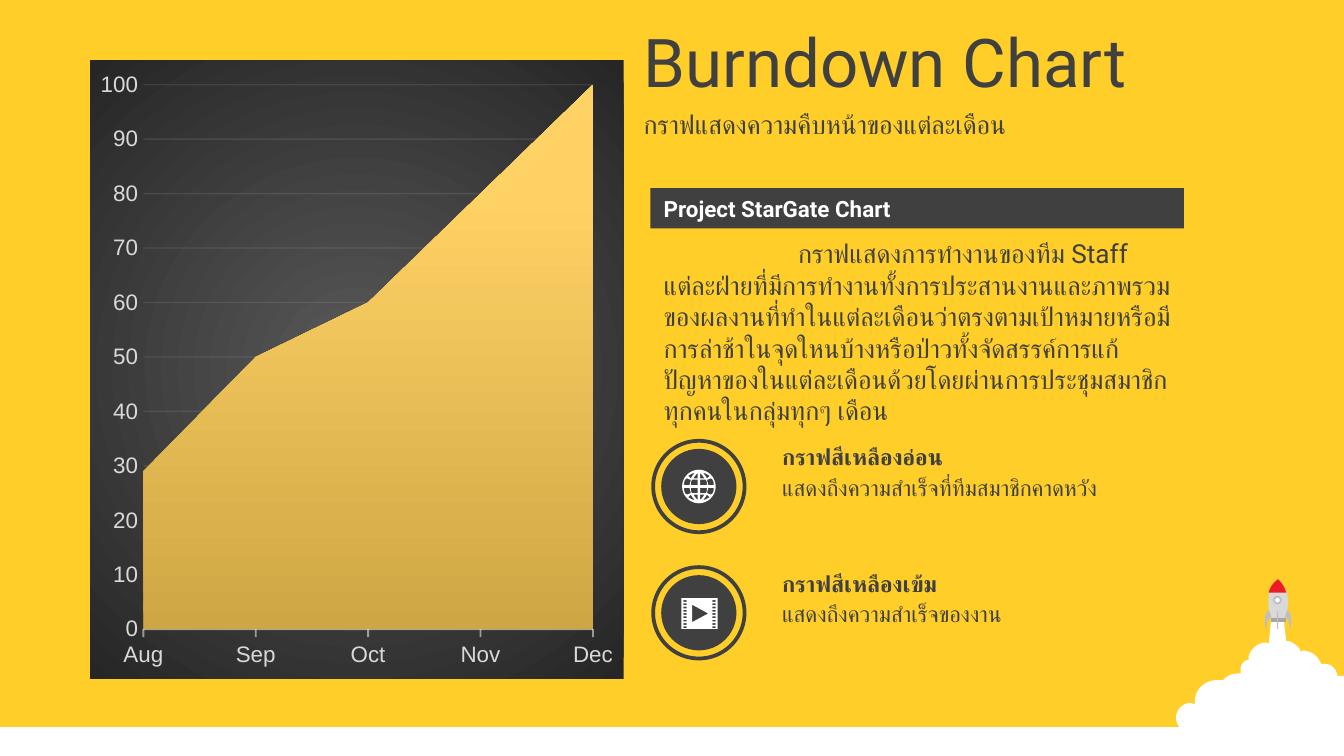
from lxml import etree
from pptx import Presentation
from pptx.chart.data import CategoryChartData as Data
from pptx.dml.color import RGBColor as RGB
from pptx.enum.chart import XL_CHART_TYPE as Chart, XL_TICK_MARK as Tick
from pptx.enum.shapes import MSO_SHAPE as Kind
from pptx.enum.text import MSO_ANCHOR as Anchor
from pptx.oxml import parse_xml
from pptx.oxml.ns import nsdecls, qn
from pptx.util import Inches, Pt

YELLOW = RGB(0xFF, 0xCE, 0x29)
DARK = RGB(0x40, 0x40, 0x40)
WHITE = RGB(0xFF, 0xFF, 0xFF)
PALE = RGB(0xD9, 0xD9, 0xD9)
GREY = RGB(0xBF, 0xBF, 0xBF)
STEEL = RGB(0xA6, 0xA6, 0xA6)
RED = RGB(0xED, 0x1C, 0x24)
FAINT = RGB(0xF2, 0xF2, 0xF2)

# Outline points: (x, y) is a corner, six numbers are a curve
CLOUD = [
    (9.46, 4.59), (9.55, 4.59), (9.57, 4.77), (9.59, 4.77),
    (9.62, 4.78, 9.65, 4.8, 9.67, 4.83), (9.68, 4.85), (9.69, 4.84),
    (9.75, 4.84, 9.81, 4.88, 9.83, 4.94), (9.86, 4.94),
    (9.9, 4.94, 9.94, 4.97, 9.95, 5.02), (9.95, 5.03), (10, 5.03),
    (10, 5.61), (9.34, 5.61),
    (9.23, 5.61, 9.17, 5.56, 9.13, 5.51), (9.11, 5.53, 9.07, 5.54, 9.04, 5.53),
    (9, 5.52, 8.94, 5.5, 8.93, 5.45), (8.93, 5.43), (8.92, 5.44),
    (8.91, 5.45, 8.89, 5.45, 8.86, 5.45), (8.8, 5.45, 8.75, 5.4, 8.75, 5.34),
    (8.75, 5.28, 8.8, 5.23, 8.86, 5.23), (8.89, 5.24), (8.89, 5.22),
    (8.89, 5.13, 8.96, 5.06, 9.06, 5.06), (9.1, 5.06), (9.11, 5.05),
    (9.14, 5.02, 9.18, 5.01, 9.23, 5.01), (9.23, 4.98),
    (9.23, 4.95, 9.25, 4.92, 9.28, 4.91), (9.29, 4.91), (9.29, 4.89),
    (9.3, 4.83, 9.36, 4.78, 9.42, 4.78), (9.44, 4.79)]
BODY = [(9.46, 4.62), (9.44, 4.53, 9.4, 4.4, 9.51, 4.31),
        (9.62, 4.41, 9.58, 4.54, 9.56, 4.62)]
NOSE = [(9.51, 4.31), (9.54, 4.34, 9.56, 4.37, 9.57, 4.41), (9.44, 4.41),
        (9.45, 4.37, 9.47, 4.34, 9.51, 4.31)]
FIN = [(9.44, 4.54), (9.46, 4.59), (9.42, 4.61, 9.43, 4.66, 9.42, 4.68),
       (9.41, 4.65, 9.4, 4.57, 9.44, 4.54)]

# Gaps in one quarter of the globe, measured from its centre
CELLS = [
    [(.01, .01), (.06, .01), (.06, .03, .06, .04, .05, .05), (.04, .05, .02, .05, .01, .05)],
    [(.07, .01), (.11, .01), (.11, .03, .11, .05, .09, .06), (.08, .06, .07, .05, .06, .05)],
    [(.01, .06), (.02, .06, .03, .06, .04, .06), (.03, .08, .02, .09, .01, .1)],
    [(.06, .06), (.07, .07, .07, .07, .08, .08), (.06, .09, .05, .1, .03, .1),
     (.04, .09, .05, .08, .06, .06)]]


def flat(path, steps=8):
    """Turn corners and curves into plain points."""
    out = []
    for node in path:
        if len(node) == 2:
            out.append(node)
            continue
        a, b, c, d = out[-1], node[:2], node[2:4], node[4:]
        for i in range(1, steps + 1):
            t = i / steps
            u = 1 - t
            out.append(tuple(u**3 * a[k] + 3*u*u*t * b[k] + 3*u*t*t * c[k] + t**3 * d[k]
                             for k in (0, 1)))
    return out


def flip(path, sx=1, sy=1, x=0, y=0):
    """Mirror a path by sign and move it."""
    return [tuple(v * (sx, sy)[i % 2] + (x, y)[i % 2] for i, v in enumerate(n))
            for n in path]


def box(x, y, w, h):
    return [(x, y), (x + w, y), (x + w, y + h), (x, y + h)]


def paint(shape, fill, line=None, width=1):
    shape.shadow.inherit = False
    shape.fill.solid()
    shape.fill.fore_color.rgb = fill
    if line is None:
        shape.line.fill.background()
    else:
        shape.line.color.rgb = line
        shape.line.width = Pt(width)
    return shape


def form(slide, paths, fill):
    pen = None
    for path in paths:
        pts = [(Inches(x), Inches(y)) for x, y in flat(path)]
        if pen is None:
            pen = slide.shapes.build_freeform(*pts[0], scale=1.0)
        else:
            pen.move_to(*pts[0])
        pen.add_line_segments(pts[1:], close=True)
    return paint(pen.convert_to_shape(), fill)


def shape(slide, kind, x, y, w, h, fill, line=None, width=1):
    item = slide.shapes.add_shape(kind, Inches(x), Inches(y), Inches(w), Inches(h))
    return paint(item, fill, line, width)


def text(slide, words, x, y, w, h, size=12, color=DARK, bold=False,
         font="Roboto", anchor=Anchor.TOP):
    item = slide.shapes.add_textbox(Inches(x), Inches(y), Inches(w), Inches(h))
    frame = item.text_frame
    frame.word_wrap = True
    frame.vertical_anchor = anchor
    para = frame.paragraphs[0]
    para._p.get_or_add_pPr().set("defTabSz", str(Inches(1)))
    run = para.add_run()
    run.text = words
    run.font.size, run.font.bold, run.font.name = Pt(size), bold, font
    run.font.color.rgb = color
    etree.SubElement(run.font._element, qn("a:cs")).set("typeface", font)
    return item


def blend(stops, way):
    """Gradient fill; way is the XML that gives its direction."""
    marks = "".join(f'<a:gs pos="{pos * 1000}"><a:srgbClr val="{c}"/></a:gs>'
                    for pos, c in stops)
    return parse_xml(f'<a:gradFill {nsdecls("a")} rotWithShape="1">'
                     f'<a:gsLst>{marks}</a:gsLst>{way}</a:gradFill>')


def stroke(line, width, alpha):
    line.color.rgb = FAINT
    line.width = Pt(width)
    tone = line._ln.find(".//" + qn("a:srgbClr"))
    etree.SubElement(tone, qn("a:alpha")).set("val", str(alpha * 1000))


def graph(slide):
    data = Data()
    data.categories = ["Aug", "Sep", "Oct", "Nov", "Dec"]
    data.add_series("Series 1", (29, 50, 60, 80, 100))
    data.add_series("Series 2", (5, 20, 52, 65, 95))
    chart = slide.shapes.add_chart(Chart.AREA, Inches(.67), Inches(.45),
                                   Inches(3.97), Inches(4.6), data).chart
    chart.has_legend = chart.has_title = False
    chart.font.name, chart.font.size = "Arial", Pt(12)
    chart.font.color.rgb = PALE

    # Series and background gradients
    tones = [("CEA644", "FFD265", "FFD367"), ("A98405", "DCAB07", "E1AE03")]
    for row, tone in zip(chart.plots[0].series, tones):
        row.format.line.fill.background()
        row.format._element.get_or_add_spPr().insert(
            0, blend(zip((0, 80, 100), tone), '<a:lin ang="16200000" scaled="0"/>'))
    back = parse_xml(f'<c:spPr {nsdecls("c", "a")}><a:ln><a:noFill/></a:ln></c:spPr>')
    back.insert(0, blend([(0, "595959"), (100, "262626")],
                         '<a:path path="circle"><a:fillToRect l="50000" t="50000" '
                         'r="50000" b="50000"/></a:path>'))
    chart._chartSpace.chart.addnext(back)

    # Axes
    cat, val = chart.category_axis, chart.value_axis
    cat.major_tick_mark, val.major_tick_mark = Tick.OUTSIDE, Tick.NONE
    cat.has_major_gridlines = False
    stroke(cat.format.line, 1, 54)
    val.format.line.fill.background()
    val.maximum_scale = 100
    val.has_major_gridlines = True
    stroke(val.major_gridlines.format.line, .75, 10)
    for axis in (cat, val):
        axis.tick_labels.font.name, axis.tick_labels.font.size = "Arial", Pt(12)
        axis.tick_labels.font.color.rgb = PALE


def rocket(slide):
    form(slide, [CLOUD], WHITE)
    form(slide, [BODY], PALE)
    form(slide, [box(9.46, 4.6, .11, .03)], STEEL)
    form(slide, [NOSE], RED)
    shape(slide, Kind.OVAL, 9.48, 4.44, .05, .05, WHITE, GREY)
    shape(slide, Kind.RECTANGLE, 9.5, 4.55, .01, .13, GREY)
    form(slide, [FIN], GREY)
    form(slide, [flip(FIN, sx=-1, x=19.02)], GREY)


def badge(slide, y, head, words, icon):
    shape(slide, Kind.OVAL, 4.86, y, .68, .68, YELLOW, DARK, 2)
    shape(slide, Kind.OVAL, 4.92, y + .06, .56, .56, DARK)
    form(slide, icon, WHITE)
    text(slide, words, 5.72, y + .2, 3.22, .3)
    text(slide, head, 5.72, y - .03, 3.22, .3, bold=True, font="Arial")


def globe(x, y, r=.125):
    k = .55 * r
    arc = [(r, 0), (r, k, k, r, 0, r), (-k, r, -r, k, -r, 0),
           (-r, -k, -k, -r, 0, -r), (k, -r, r, -k, r, 0)]
    return [flip(arc, x=x, y=y)] + [flip(cell, sx, sy, x, y) for cell in CELLS
                                    for sx in (1, -1) for sy in (1, -1)]


def film(x, y):
    holes = [box(x + dx, y + .015 + .0245 * i, .025, .013)
             for i in range(9) for dx in (.015, .23)]
    play = [(x + .08, y + .05), (x + .08, y + .18), (x + .2, y + .115)]
    return [box(x, y, .27, .23), play] + holes


def main():
    deck = Presentation()
    deck.slide_width = Inches(10)
    deck.slide_height = deck.slide_width * 9 // 16
    slide = deck.slides.add_slide(deck.slide_layouts[6])
    slide.background.fill.solid()
    slide.background.fill.fore_color.rgb = YELLOW

    # Ground, rocket and chart
    shape(slide, Kind.RECTANGLE, 0, 5.41, 10, .24, WHITE)
    rocket(slide)
    graph(slide)

    # Headings and description
    text(slide, "Burndown Chart", 4.69, .14, 5.31, .63, size=36, anchor=Anchor.MIDDLE)
    text(slide, "กราฟแสดงความคืบหน้าของแต่ละเดือน", 4.69, .77, 5.31, .31,
         size=14, anchor=Anchor.MIDDLE)
    text(slide, "\tกราฟแสดงการทำงานของทีม Staff แต่ละฝ่ายที่มีการทำงานทั้งการประสานงานและ"
         "ภาพรวมของผลงานที่ทำในแต่ละเดือนว่าตรงตามเป้าหมายหรือมีการล่าช้าในจุดใหนบ้างหรือป่าว"
         "ทั้งจัดสรรค์การแก้ปัญหาของในแต่ละเดือนด้วยโดยผ่านการประชุมสมาชิกทุกคนในกลุ่มทุกๆ เดือน",
         4.84, 1.72, 3.97, 1.51, size=14)
    paint(text(slide, "Project StarGate Chart", 4.84, 1.4, 3.97, .3,
               color=WHITE, bold=True), DARK)

    # Key with icons
    badge(slide, 3.28, "กราฟสีเหลืองอ่อน", "แสดงถึงความสำเร็จที่ทีมสมาชิกคาดหวัง",
          globe(5.2, 3.62))
    badge(slide, 4.22, "กราฟสีเหลืองเข้ม", "แสดงถึงความสำเร็จของงาน", film(5.07, 4.45))
    deck.save("out.pptx")


if __name__ == "__main__":
    main()
